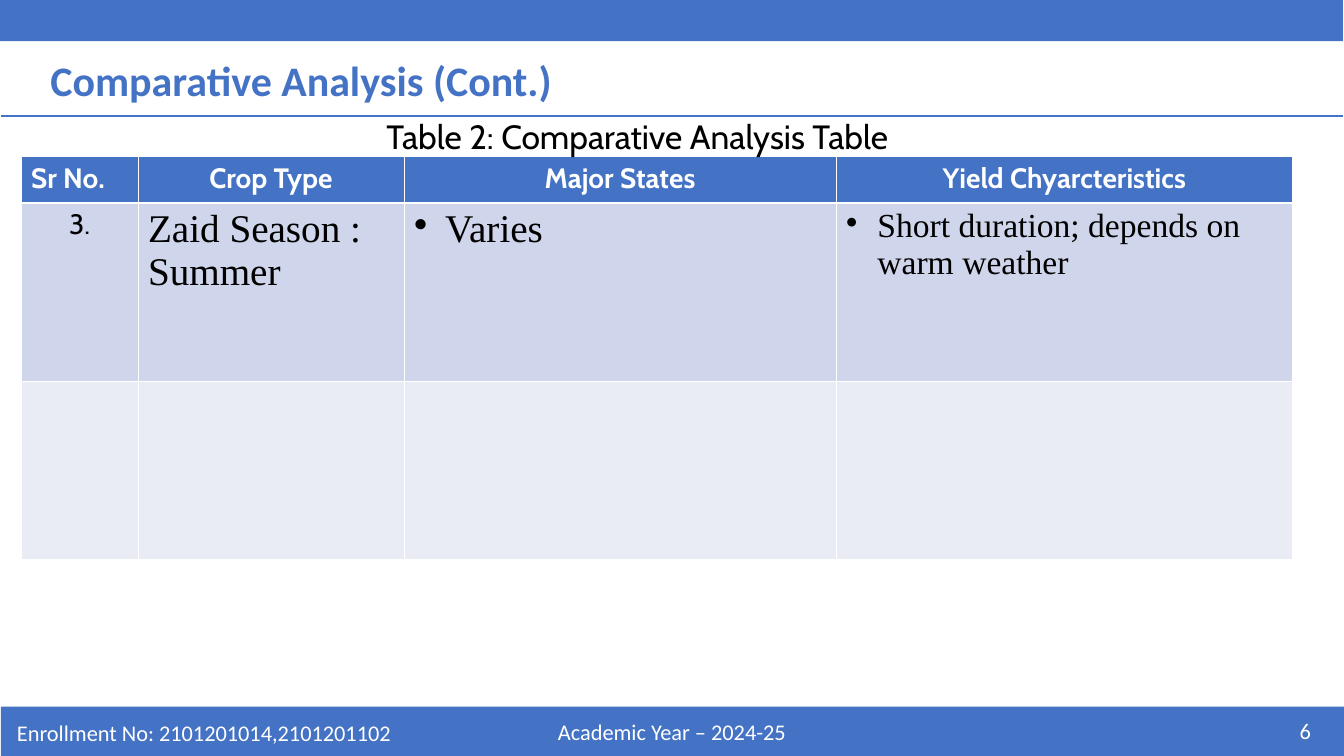
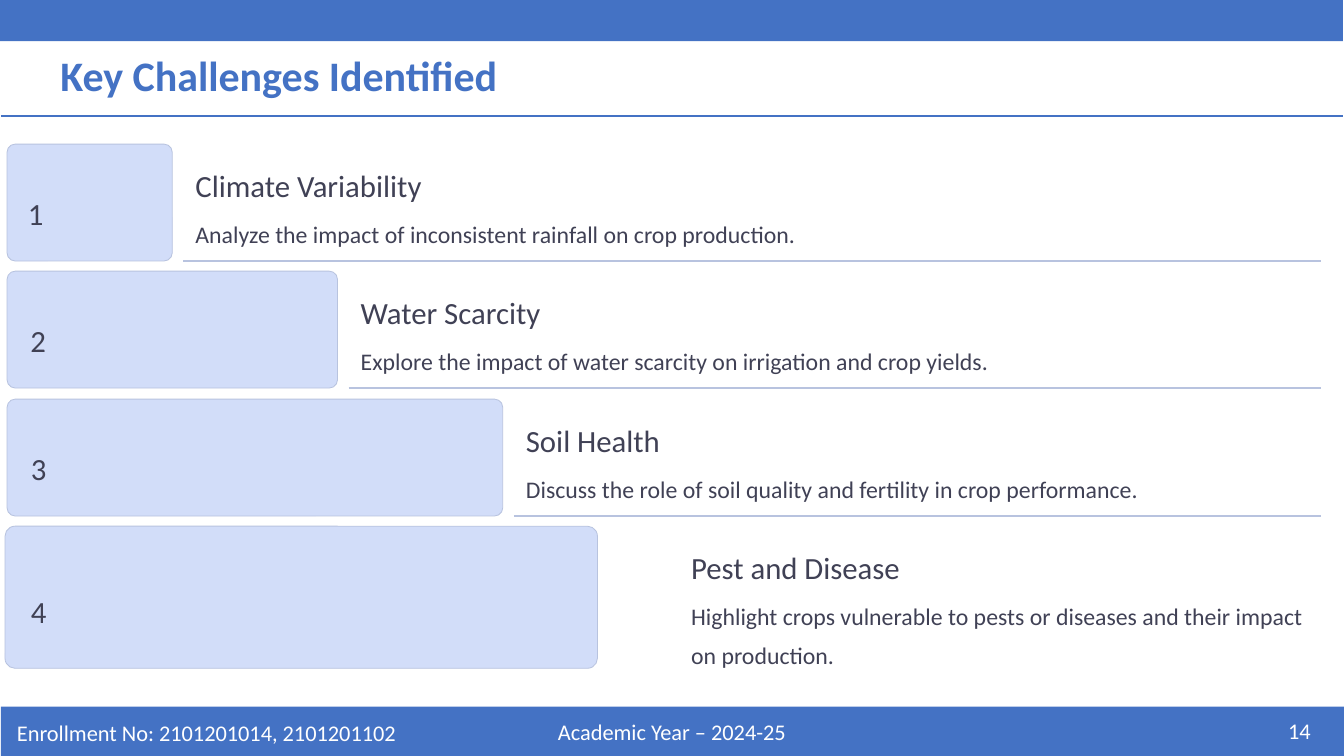
from dataclasses import dataclass

from lxml.etree import SubElement
from pptx import Presentation
from pptx.dml.color import RGBColor as RGB
from pptx.enum.shapes import MSO_CONNECTOR as CONN, MSO_SHAPE as SHAPE
from pptx.enum.text import MSO_ANCHOR as ANC, MSO_AUTO_SIZE as AUTO, PP_ALIGN as AL
from pptx.oxml.ns import qn
from pptx.util import Pt


@dataclass(frozen=True)
class Theme:
    """Colours, fonts and type sizes of the deck."""
    blue: str = "4472C4"
    white: str = "FFFFFF"
    black: str = "000000"
    ink: str = "404155"
    card: str = "D2DDF9"
    edge: str = "B8C3DF"
    odd_row: str = "CFD5EA"
    even_row: str = "E9EBF5"
    sans: str = "Calibri"
    round: str = "Cabin"
    serif: str = "Times New Roman"
    title: int = 30
    large: int = 28
    medium: int = 24
    heading: int = 22
    cell: int = 20
    body: int = 17
    footer: int = 16


T = Theme()
PX = 9144
SIZE = (1334, 750)
INSET = (10, 5, 10, 5)
NO_INSET = (0, 0, 0, 0)
YEAR = "Academic Year – 2024-25"

TABLE_SLIDE = {
    "title": "Comparative Analysis (Cont.)", "title_at": (40, 49, 1256, 60),
    "enrollment": "Enrollment No: 2101201014,2101201102", "number": "6",
}
CARD_SLIDE = {
    "title": "Key Challenges Identified", "title_at": (50, 44, 1052, 60),
    "enrollment": "Enrollment No: 2101201014, 2101201102", "number": "14",
}
CAPTION = "Table 2: Comparative Analysis Table"
COLUMNS = (116, 264, 429, 453)
ROWS = (46, 177, 177)
HEADER = ("Sr No.", "Crop Type", "Major States", "Yield Chyarcteristics")
CROP = (
    ("3.", T.round, T.cell, AL.CENTER, False),
    ("Zaid Season : Summer", T.serif, T.large, AL.LEFT, False),
    ("Varies", T.serif, T.large, AL.LEFT, True),
    ("Short duration; depends on warm weather", T.serif, T.medium, AL.LEFT, True),
)
CHALLENGES = (
    ("Climate Variability",
     "Analyze the impact of inconsistent rainfall on crop production."),
    ("Water Scarcity",
     "Explore the impact of water scarcity on irrigation and crop yields."),
    ("Soil Health",
     "Discuss the role of soil quality and fertility in crop performance."),
    ("Pest and Disease",
     "Highlight crops vulnerable to pests or diseases and their impact on production."),
)
NUMBER_WIDTHS = (11, 16, 17, 17)
CARD_STEP, CARD_HEIGHT, RIGHT = 164, 116, 1311
LAST_CARD = (5, 522, 588, 141)


def emu(box):
    return [v * PX for v in box]


def write(p, text, size, color, font=T.sans, bold=False, **para):
    for name, value in para.items():
        setattr(p, name, value)
    r = p.add_run()
    r.text = text
    for name, value in {"size": Pt(size), "name": font, "bold": bold}.items():
        setattr(r.font, name, value)
    r.font.color.rgb = RGB.from_string(color)


def set_frame(tf, inset=INSET, anchor=ANC.TOP, wrap=True):
    left, top, right, bottom = emu(inset)
    frame = {"margin_left": left, "margin_top": top, "margin_right": right,
             "margin_bottom": bottom, "vertical_anchor": anchor,
             "word_wrap": wrap, "auto_size": AUTO.NONE}
    for name, value in frame.items():
        setattr(tf, name, value)


def add_text(s, box, text, size, color, frame=None, **style):
    tf = s.shapes.add_textbox(*emu(box)).text_frame
    set_frame(tf, **(frame or {}))
    write(tf.paragraphs[0], text, size, color, **style)


def add_box(s, box, fill, edge=None, radius=None):
    kind = SHAPE.RECTANGLE if radius is None else SHAPE.ROUNDED_RECTANGLE
    sp = s.shapes.add_shape(kind, *emu(box))
    sp.shadow.inherit = False
    sp.fill.solid()
    sp.fill.fore_color.rgb = RGB.from_string(fill)
    if radius is not None:
        sp.adjustments[0] = radius
    if edge:
        sp.line.color.rgb = RGB.from_string(edge)
        sp.line.width = Pt(0.6)
    else:
        sp.line.fill.background()


def add_rule(s, x1, x2, y, color, width):
    line = s.shapes.add_connector(CONN.STRAIGHT, *emu((x1, y, x2, y)))
    line.line.color.rgb = RGB.from_string(color)
    line.line.width = Pt(width)
    SubElement(line._element.spPr, qn("a:effectLst"))


def add_slide(prs, info):
    s = prs.slides.add_slide(prs.slide_layouts[5])
    title = s.shapes.title
    title.left, title.top, title.width, title.height = emu(info["title_at"])
    set_frame(title.text_frame)
    write(title.text_frame.paragraphs[0], info["title"], T.title, T.blue,
          bold=True, alignment=AL.LEFT)
    for band in ((0, -2, 1333, 43), (1, 701, 1333, 49)):
        add_box(s, band, T.blue)
    add_rule(s, 1, 1333, 115, T.blue, 1.5)
    footers = (((7, 707, 450, 40), info["enrollment"], AL.LEFT),
               ((442, 706, 450, 40), YEAR, AL.CENTER),
               ((1011, 705, 300, 40), info["number"], AL.RIGHT))
    for box, text, align in footers:
        add_text(s, box, text, T.footer, T.white, {"anchor": ANC.MIDDLE},
                 alignment=align)
    return s


def style_cell(cell, fill, widths):
    tcPr = cell._tc.get_or_add_tcPr()
    for side, width in zip(("L", "R", "T", "B"), widths):
        ln = SubElement(tcPr, qn(f"a:ln{side}"), w=str(int(Pt(width))))
        SubElement(SubElement(ln, qn("a:solidFill")), qn("a:srgbClr"), val=T.white)
    cell.fill.solid()
    cell.fill.fore_color.rgb = RGB.from_string(fill)


def add_bullet(p):
    pPr = p._p.get_or_add_pPr()
    pPr.set("marL", str(31 * PX))
    pPr.set("indent", str(-31 * PX))
    SubElement(pPr, qn("a:buChar"), char="•")


def build_table(prs):
    s = add_slide(prs, TABLE_SLIDE)
    box = (21, 155, sum(COLUMNS), sum(ROWS))
    table = s.shapes.add_table(len(ROWS), len(COLUMNS), *emu(box)).table
    for column, width in zip(table.columns, COLUMNS):
        column.width = width * PX
    fills = (T.blue, T.odd_row, T.even_row)
    edges = ((0.45, 0.45, 0.45, 1.47), (0.45, 0.45, 1.47, 0.45), (0.45,) * 4)
    for row, height, fill, widths in zip(table.rows, ROWS, fills, edges):
        row.height = height * PX
        for cell in row.cells:
            style_cell(cell, fill, widths)
    for i, text in enumerate(HEADER):
        write(table.cell(0, i).text_frame.paragraphs[0], text, T.cell, T.white,
              T.round, True, alignment=AL.CENTER if i else AL.LEFT)
    for i, (text, font, size, align, bullet) in enumerate(CROP):
        p = table.cell(1, i).text_frame.paragraphs[0]
        write(p, text, size, T.black, font, alignment=align)
        if bullet:
            add_bullet(p)
    add_text(s, (299, 115, 667, 46), CAPTION, T.medium, T.black, font=T.round,
             alignment=AL.CENTER, line_spacing=0.9, space_before=Pt(10))


def build_challenges(prs):
    s = add_slide(prs, CARD_SLIDE)
    last = len(CHALLENGES) - 1
    for i, (heading, detail) in enumerate(CHALLENGES):
        width, drop = CARD_STEP * (i + 1), 253 * i // 2
        card = LAST_CARD if i == last else (7, 143 + drop, width, CARD_HEIGHT)
        number_top = 576 if i == last else 181 + drop
        x = 30 + width
        add_box(s, card, T.card, T.edge, 0.07)
        add_text(s, (30, number_top, NUMBER_WIDTHS[i], 40), str(i + 1), T.heading,
                 T.ink, {"inset": NO_INSET, "wrap": False},
                 alignment=AL.CENTER, line_spacing=Pt(35))
        add_text(s, (x, 164 + drop, 282, 31), heading, T.heading, T.ink,
                 {"inset": NO_INSET}, line_spacing=Pt(27.5))
        add_text(s, (x, 207 + drop, 1300 - x, 32), detail, T.body, T.ink,
                 {"inset": NO_INSET}, line_spacing=Pt(28))
        if i < last:
            add_rule(s, x - 12, RIGHT, 259 + drop, T.edge, 1)


def main():
    """Build the table slide and the challenges slide."""
    prs = Presentation()
    prs.slide_width, prs.slide_height = emu(SIZE)
    build_table(prs)
    build_challenges(prs)
    prs.save("out.pptx")


if __name__ == "__main__":
    main()
